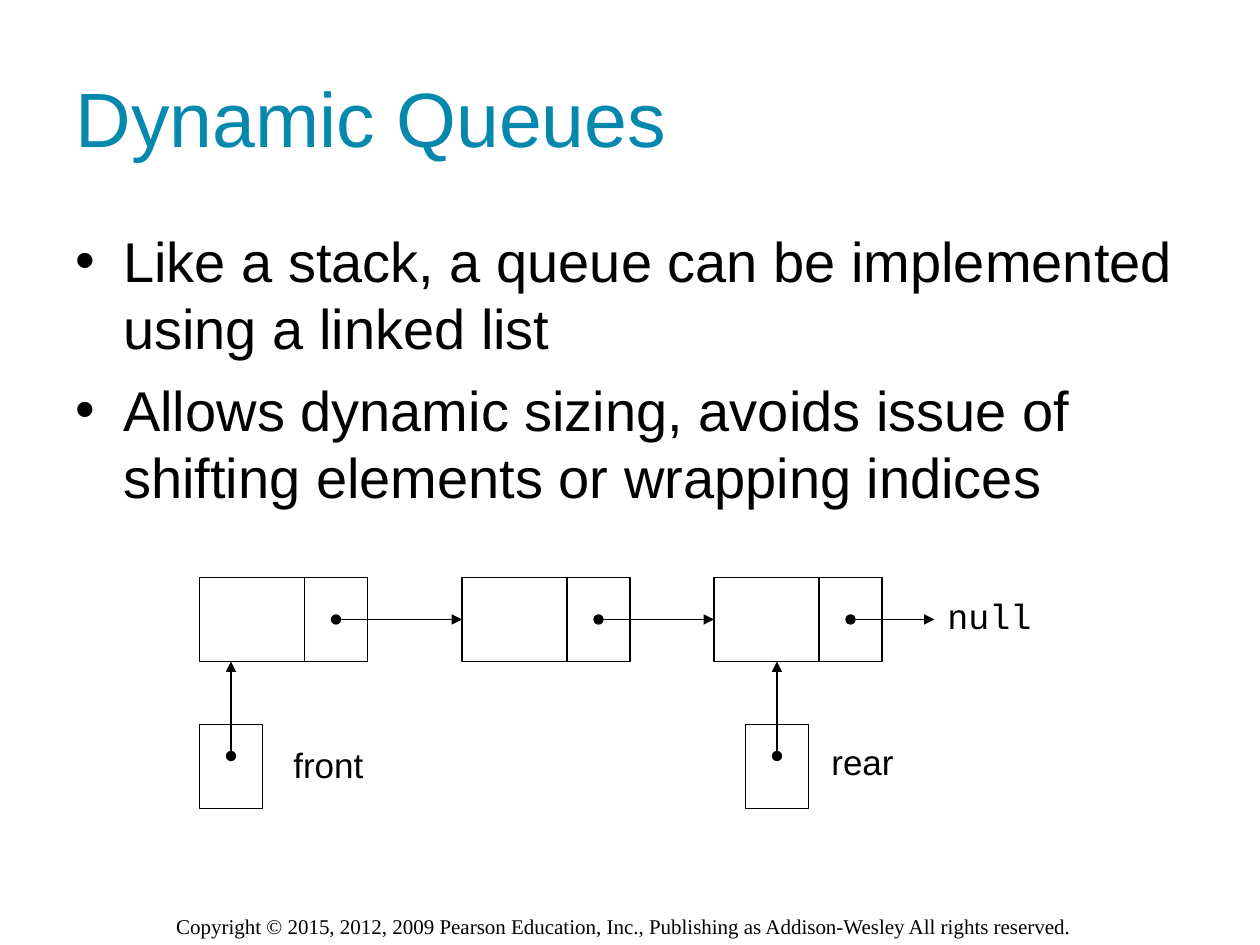
from lxml.etree import SubElement
from pptx import Presentation
from pptx.dml.color import RGBColor
from pptx.enum.shapes import MSO_CONNECTOR as Connector, MSO_SHAPE as Shape
from pptx.enum.text import MSO_ANCHOR as Anchor, MSO_AUTO_SIZE as AutoSize, PP_ALIGN as Align
from pptx.oxml.ns import qn
from pptx.util import Inches, Pt

BLACK = RGBColor(0, 0, 0)
TEAL = RGBColor(0x04, 0x88, 0xAE)

TITLE = "Dynamic Queues"
BULLETS = [
    "Like a stack, a queue can be implemented using a linked list",
    "Allows dynamic sizing, avoids issue of shifting elements or wrapping indices",
]
COPYRIGHT = ("Copyright © 2015, 2012, 2009 Pearson Education, Inc., "
             "Publishing as Addison-Wesley All rights reserved.")

CELL = Inches(1) / 12
NODE_COLUMNS = [19, 44, 68]
NULL_COLUMN = 89
NODE_ROW, POINTER_ROW = 55, 69
NODE_WIDTH, LINK_WIDTH, NODE_HEIGHT = 16, 6, 8
POINTER_COLUMNS = [19, 71]
LABELS = [
    ("front", 2.23, 5.85, 0.76, "Arial"),
    ("rear", 6.5, 5.83, 0.7, "Arial"),
    ("null", 7.42, 4.67, 0.87, "Courier New"),
]


def set_font(para, name, size, color=BLACK):
    para.font.name = name
    para.font.size = Pt(size)
    para.font.color.rgb = color


def add_text(page, text, left, top, width, height, name, size, wrap=False):
    box = page.shapes.add_textbox(*map(Inches, (left, top, width, height)))
    box.text_frame.word_wrap = wrap
    box.text_frame.auto_size = AutoSize.SHAPE_TO_FIT_TEXT
    para = box.text_frame.paragraphs[0]
    para.text = text
    set_font(para, name, size)


def add_bullets(page):
    box = page.shapes.add_textbox(Inches(0.5), Inches(1.75), Inches(9), Inches(4.95))
    frame = box.text_frame
    frame.word_wrap = True
    for index, text in enumerate(BULLETS):
        para = frame.add_paragraph() if index else frame.paragraphs[0]
        para.text = text
        para.space_before = Pt(8 if index else 0)
        props = para._p.get_or_add_pPr()
        props.set("marL", str(Inches(0.38)))
        props.set("indent", str(-Inches(0.38)))
        SubElement(props, qn("a:buFont"), typeface="Arial")
        SubElement(props, qn("a:buChar"), char="•")
        set_font(para, "Arial", 32)


def add_rectangle(page, column, row, width):
    sides = (round(side * CELL) for side in (column, row, width, NODE_HEIGHT))
    box = page.shapes.add_shape(Shape.RECTANGLE, *sides)
    box.shadow.inherit = False
    box.fill.background()
    box.line.color.rgb = BLACK
    box.line.width = Pt(0.75)


def add_arrow(page, *ends):
    arrow = page.shapes.add_connector(Connector.STRAIGHT, *(round(end * CELL) for end in ends))
    arrow.line.color.rgb = BLACK
    arrow.line.width = Pt(0.75)
    line = arrow.line._get_or_add_ln()
    SubElement(line, qn("a:headEnd"), type="oval")
    SubElement(line, qn("a:tailEnd"), type="triangle")
    SubElement(arrow._element.spPr, qn("a:effectLst"))


def add_diagram(page):
    middle = NODE_ROW + NODE_HEIGHT / 2
    for column, target in zip(NODE_COLUMNS, NODE_COLUMNS[1:] + [NULL_COLUMN]):
        link = column + NODE_WIDTH - LINK_WIDTH
        add_rectangle(page, column, NODE_ROW, NODE_WIDTH)
        add_rectangle(page, link, NODE_ROW, LINK_WIDTH)
        add_arrow(page, link + LINK_WIDTH / 2, middle, target, middle)
    for column in POINTER_COLUMNS:
        center = column + LINK_WIDTH / 2
        add_rectangle(page, column, POINTER_ROW, LINK_WIDTH)
        add_arrow(page, center, POINTER_ROW + 3, center, NODE_ROW + NODE_HEIGHT)
    for text, left, top, width, name in LABELS:
        add_text(page, text, left, top, width, 0.44, name, 20)


def main():
    deck = Presentation()
    deck.slide_width, deck.slide_height = Inches(10), Inches(7.5)
    page = deck.slides.add_slide(deck.slide_layouts[5])
    title = page.shapes.title
    title.left, title.top = Inches(0.5), Inches(0.3)
    title.width, title.height = Inches(9), Inches(1.25)
    title.text_frame.vertical_anchor = Anchor.MIDDLE
    para = title.text_frame.paragraphs[0]
    para.text = TITLE
    para.alignment = Align.LEFT
    set_font(para, "Arial", 44, TEAL)
    add_bullets(page)
    add_diagram(page)
    add_text(page, COPYRIGHT, 1.3, 7.2, 7.42, 0.3, "Times New Roman", 12, wrap=True)
    deck.save("out.pptx")


if __name__ == "__main__":
    main()
